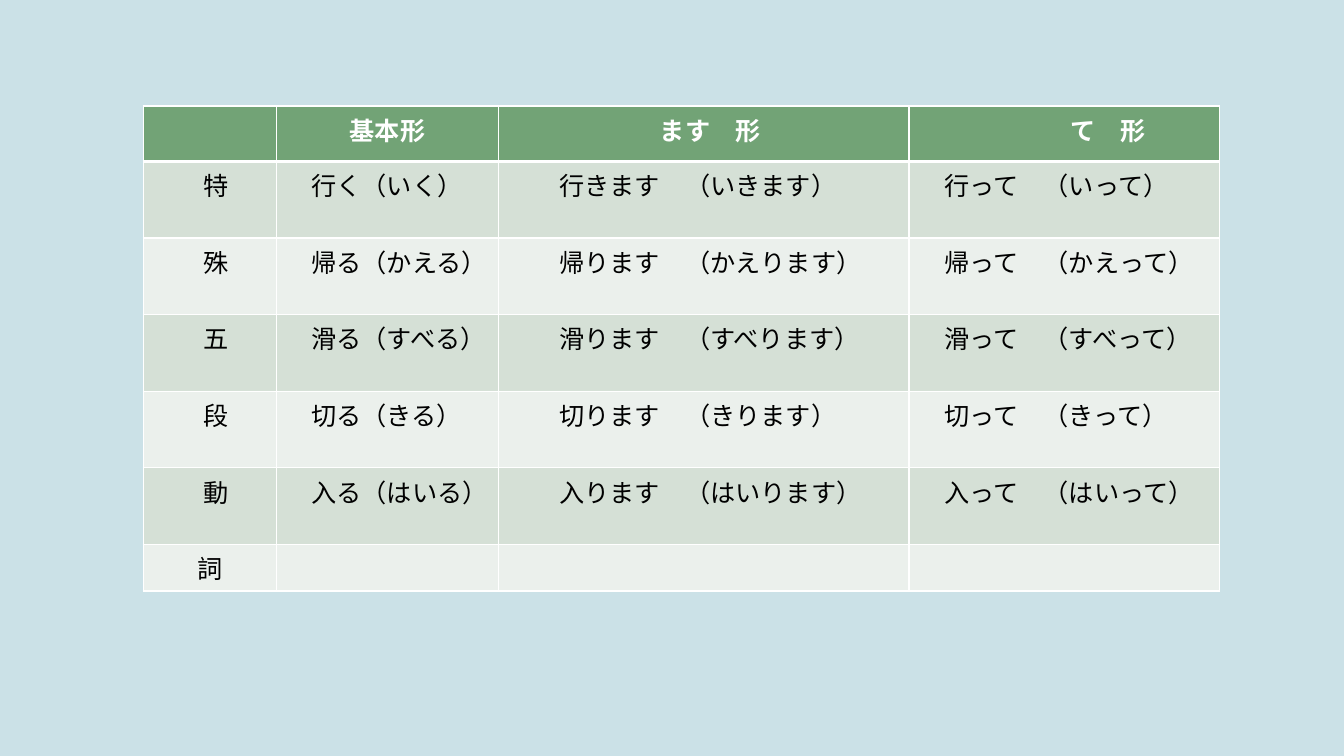
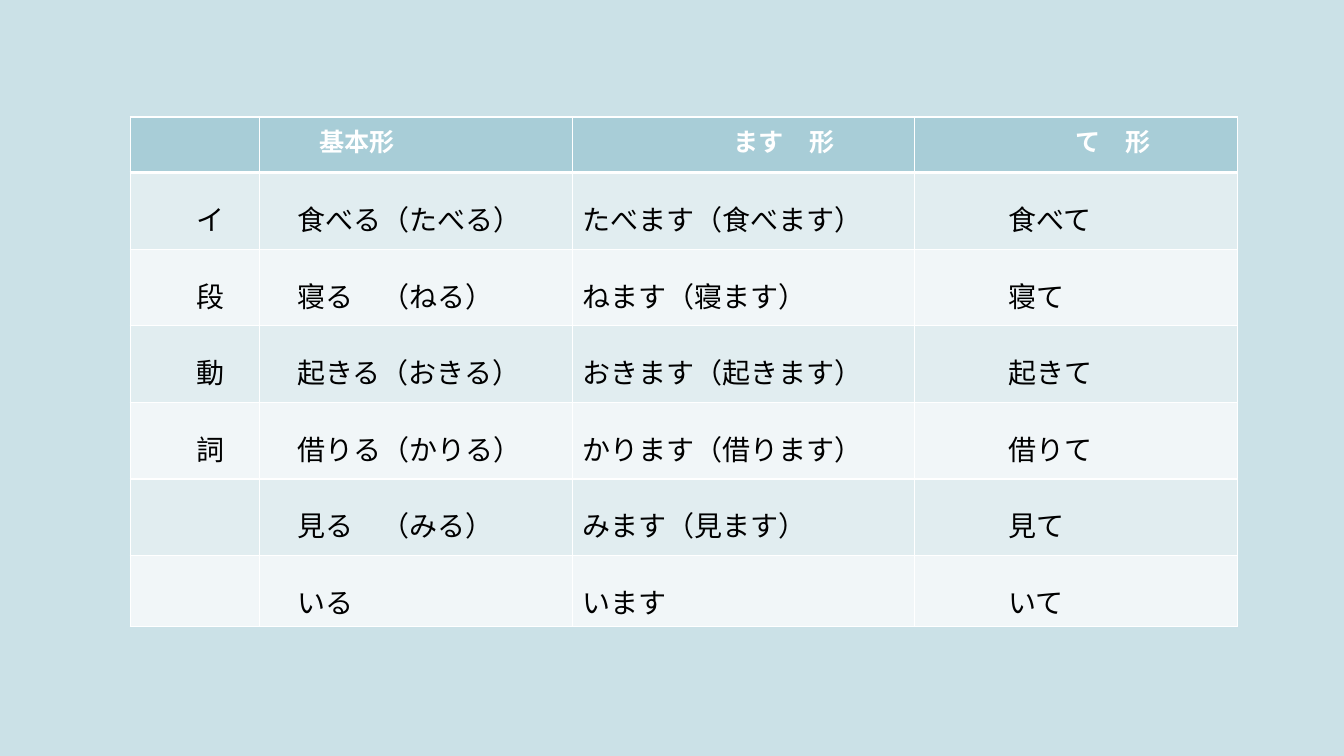
from dataclasses import dataclass

from lxml import etree
from pptx import Presentation
from pptx.dml.color import RGBColor
from pptx.enum.text import PP_ALIGN
from pptx.oxml.ns import qn
from pptx.util import Cm, Pt

CENTER = PP_ALIGN.CENTER
LEFT = PP_ALIGN.LEFT
FONT = "Noto Sans CJK SC"
BACK = "CBE1E7"
WHITE = "FFFFFF"
BLACK = "000000"
HEAD_SIZE = 18
HEAD_TALL = 1.4
BODY_TALL = 1.93
PAD = 0.25
EM = 2.54 / 72


@dataclass(frozen=True)
class Sheet:
    left: float
    top: float
    cols: tuple[float, ...]
    last: float
    head: str
    bands: tuple[str, str]
    size: int
    space: float
    heads: tuple[int, ...]
    dents: tuple[int, ...]
    mids: frozenset[tuple[int, int]]
    rows: tuple[tuple[str, ...], ...]


SHEETS = (
    Sheet(
        3.61, 2.67, (3.35, 5.61, 10.34, 7.82), 1.17,
        "72A376", ("D5E0D6", "EBF0EC"), 18, 1.0,
        (0, 0, 6, 6), (2, 1, 2, 1), frozenset({(0, 1), (6, 0)}),
        (
            ("", "基本形", "ます　形", "て　形"),
            ("特", "行く（いく）", "行きます　（いきます）", "行って　（いって）"),
            ("殊", "帰る（かえる）", "帰ります　（かえります）", "帰って　（かえって）"),
            ("五", "滑る（すべる）", "滑ります　（すべります）", "滑って　（すべって）"),
            ("段", "切る（きる）", "切ります　（きります）", "切って　（きって）"),
            ("動", "入る（はいる）", "入ります　（はいります）", "入って　（はいって）"),
            ("詞", "", "", ""),
        ),
    ),
    Sheet(
        3.28, 2.95, (3.25, 7.9, 8.61, 8.15), 1.78,
        "A8CDD7", ("E1EDF0", "F1F6F8"), 20, 1.5,
        (0, 2, 6, 6), (2, 1, 0, 3), frozenset(),
        (
            ("", "基本形", "ます　形", "て　形"),
            ("イ", "食べる（たべる）", "たべます（食べます）", "食べて"),
            ("段", "寝る　（ねる）", "ねます（寝ます）", "寝て"),
            ("動", "起きる（おきる）", "おきます（起きます）", "起きて"),
            ("詞", "借りる（かりる）", "かります（借ります）", "借りて"),
            ("", "見る　（みる）", "みます（見ます）", "見て"),
            ("", "いる", "います", "いて"),
        ),
    ),
)


def tint(code: str) -> RGBColor:
    return RGBColor.from_string(code)


def paint(fill, code: str) -> None:
    fill.solid()
    fill.fore_color.rgb = tint(code)


def edge(cell, row: int) -> None:
    props = cell._tc.get_or_add_tcPr()
    widths = {"lnL": 1, "lnR": 1, "lnT": 3 if row == 1 else 1, "lnB": 3 if row == 0 else 1}
    for name, width in widths.items():
        line = etree.SubElement(props, qn(f"a:{name}"), w=str(Pt(width)))
        fill = etree.SubElement(line, qn("a:solidFill"))
        etree.SubElement(fill, qn("a:srgbClr"), val=WHITE)


def write(cell, text: str, size: int, color: str, bold: bool, space: float) -> None:
    para = cell.text_frame.paragraphs[0]
    para.text = text
    para.line_spacing = space
    font = para.font
    font.name = FONT
    font.size = Pt(size)
    font.bold = bold
    font.color.rgb = tint(color)
    props = para._p.pPr.find(qn("a:defRPr"))
    latin = props.find(qn("a:latin"))
    latin.addnext(etree.Element(qn("a:ea"), typeface=FONT))


def draw(slide, sheet: Sheet) -> None:
    count = len(sheet.rows)
    talls = [HEAD_TALL] + [BODY_TALL] * (count - 2) + [sheet.last]
    table = slide.shapes.add_table(
        count, len(sheet.cols), Cm(sheet.left), Cm(sheet.top),
        Cm(sum(sheet.cols)), Cm(sum(talls)),
    ).table
    table.horz_banding = False
    for col, wide in zip(table.columns, sheet.cols):
        col.width = Cm(wide)
    for row, (tall, texts) in enumerate(zip(talls, sheet.rows)):
        table.rows[row].height = Cm(tall)
        top = row == 0
        size = HEAD_SIZE if top else sheet.size
        dents = sheet.heads if top else sheet.dents
        for col, text in enumerate(texts):
            cell = table.cell(row, col)
            edge(cell, row)
            paint(cell.fill, sheet.head if top else sheet.bands[(row - 1) % 2])
            if not text:
                continue
            mid = (row, col) in sheet.mids
            cell.margin_left = Cm(PAD if mid else PAD + dents[col] * size * EM)
            write(cell, text, size, WHITE if top else BLACK, top, 1.0 if top else sheet.space)
            cell.text_frame.paragraphs[0].alignment = CENTER if mid else LEFT


def main() -> None:
    deck = Presentation()
    deck.slide_width = Cm(33.87)
    deck.slide_height = Cm(19.05)
    paint(deck.slide_master.background.fill, BACK)
    for sheet in SHEETS:
        draw(deck.slides.add_slide(deck.slide_layouts[6]), sheet)
    deck.save("out.pptx")


if __name__ == "__main__":
    main()
